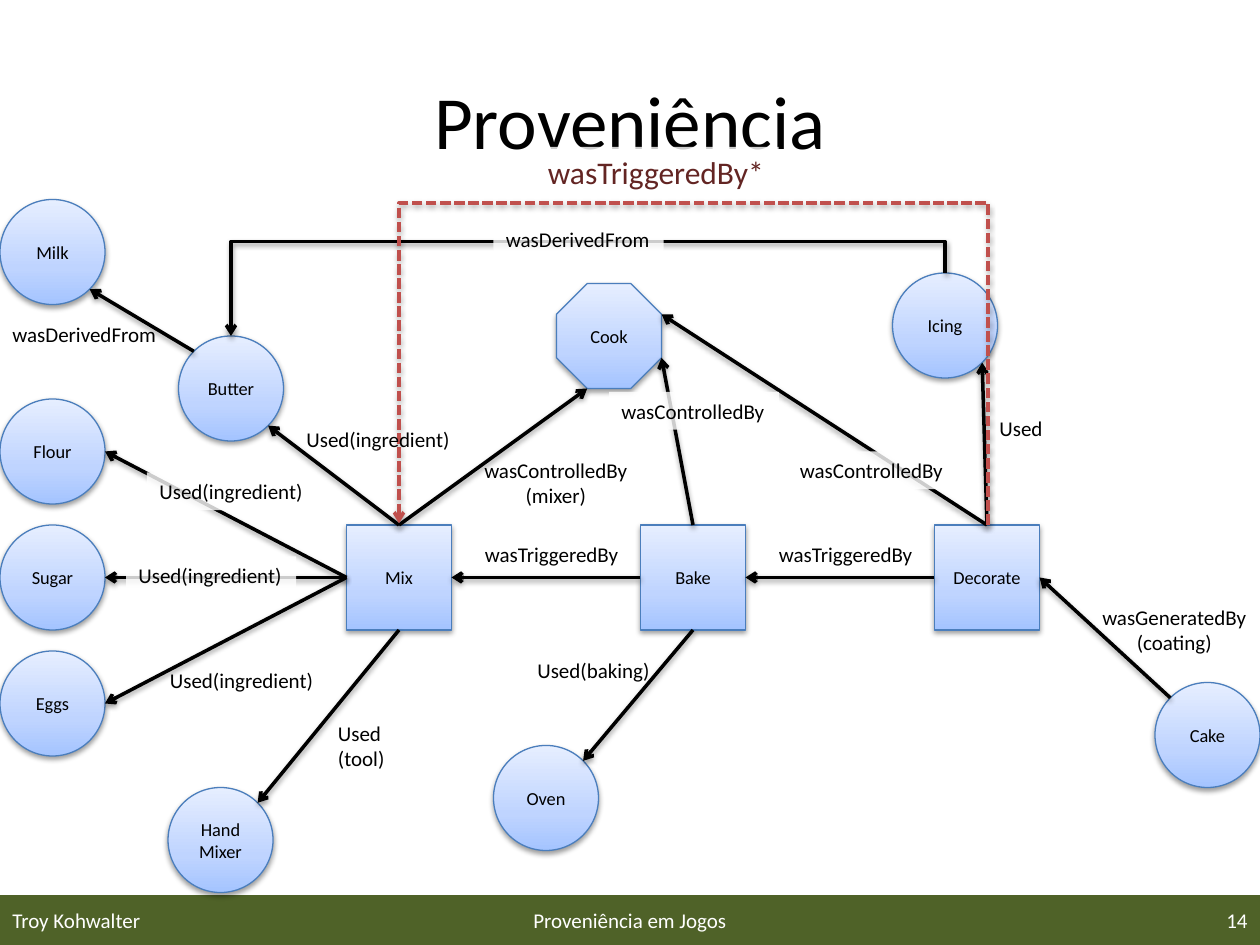
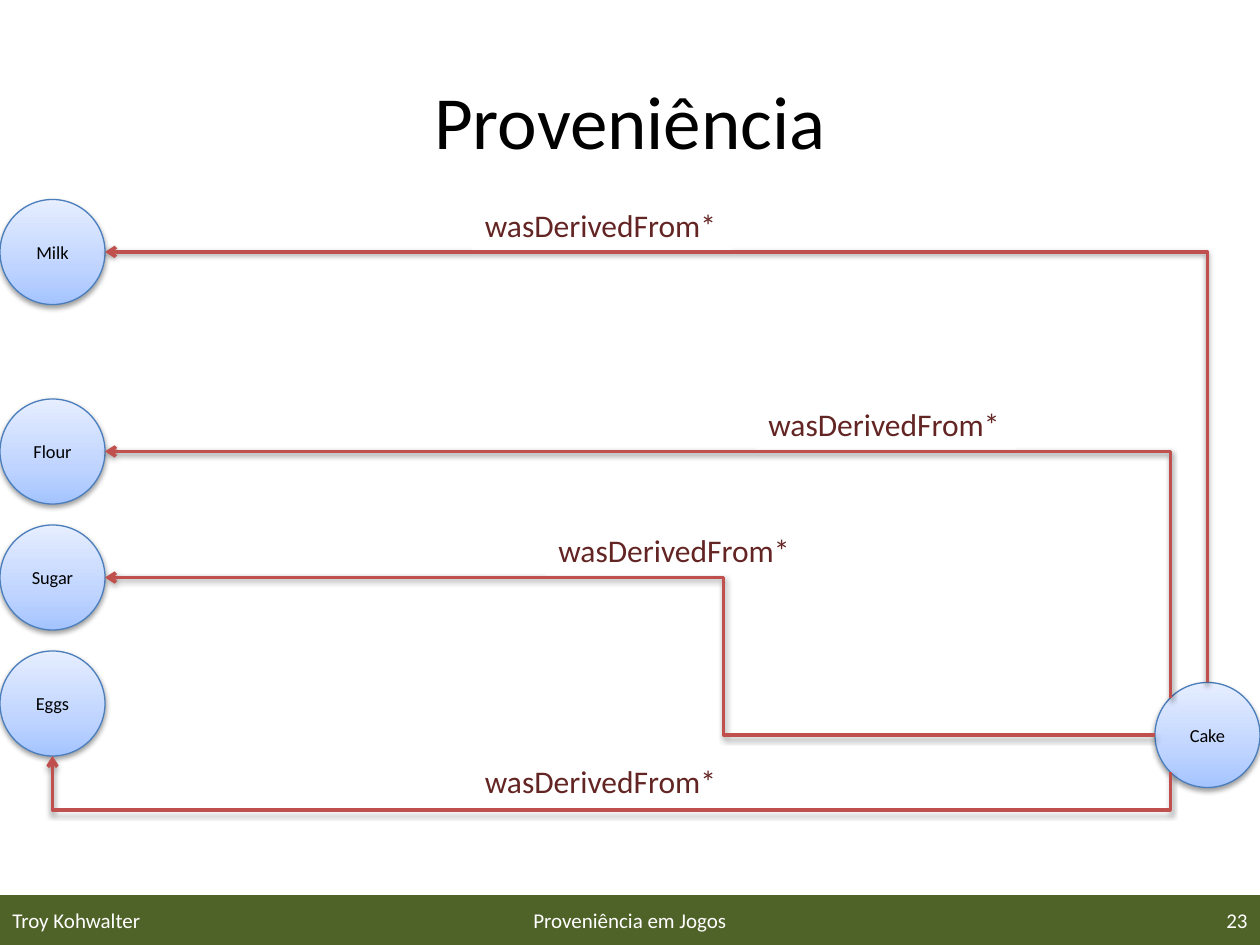
"""Build two provenance graph slides about baking a cake."""
from typing import NamedTuple

from lxml.etree import SubElement
from pptx import Presentation
from pptx.dml.color import RGBColor
from pptx.enum.dml import MSO_LINE
from pptx.enum.shapes import MSO_CONNECTOR as Wire, MSO_SHAPE as Preset
from pptx.enum.text import MSO_ANCHOR as Anchor, PP_ALIGN as Align
from pptx.oxml.ns import qn
from pptx.util import Pt

COLORS = {
    "band": "4F6228", "white": "FFFFFF", "black": "000000", "outline": "4B7EBC",
    "low": "A4C4FF", "middle": "BFD4FF", "high": "E6EEFF",
    "inferred": "C0504D", "inferred text": "632523",
}
FONT = "Calibri"
NODE_SIZE = 60
NODE_GRADIENT = [(0, "low"), (35, "middle"), (100, "high")]
SITES = {
    "top": (0.5, 0), "left": (0, 0.5), "bottom": (0.5, 1), "right": (1, 0.5),
    "upper left": (0.146, 0.146), "upper right": (0.854, 0.146),
    "lower left": (0.146, 0.854), "lower right": (0.854, 0.854),
    "right high": (1, 0.293), "right low": (1, 0.707), "bottom near left": (0.293, 1),
}
JOINTS = ["top", "left", "bottom", "right"]
Point = tuple[float, float]


class Node(NamedTuple):
    left: float
    top: float
    preset: Preset = Preset.OVAL


class Link(NamedTuple):
    source: str
    source_site: str
    target: str
    target_site: str


class Elbow(NamedTuple):
    start: Point
    end: Point
    bend: float | None = None
    vertical: bool = True
    color: str = "inferred"
    dashed: bool = False


class Label(NamedTuple):
    text: str
    left: float
    top: float
    width: float
    faded: bool = False
    align: Align = Align.LEFT
    size: float = 12
    color: str = "black"


NODES = {
    "Cake": Node(660, 390),
    "Milk": Node(0, 114),
    "Eggs": Node(0, 372),
    "Flour": Node(0, 228),
    "Sugar": Node(0, 300),
    "Butter": Node(102, 192),
    "Oven": Node(282, 426),
    "Icing": Node(510, 156),
    "Hand Mixer": Node(96, 450),
    "Cook": Node(318, 162, Preset.OCTAGON),
    "Mix": Node(198, 300, Preset.RECTANGLE),
    "Bake": Node(366, 300, Preset.RECTANGLE),
    "Decorate": Node(534, 300, Preset.RECTANGLE),
}


def site(name: str, side: str) -> Point:
    """Return the point of a node's named connection site."""
    node, (across, down) = NODES[name], SITES[side]
    return node.left + NODE_SIZE * across, node.top + NODE_SIZE * down


def inferred_label(text: str, left: float, top: float, width: float) -> Label:
    """Describe the large label of an inferred relation."""
    return Label(text, left, top, width, faded=True, size=18, color="inferred text")


RECIPE_LINKS = [
    Link("Cake", "upper left", "Decorate", "right"),
    Link("Bake", "left", "Mix", "right"),
    Link("Bake", "top", "Cook", "right low"),
    Link("Mix", "top", "Cook", "bottom near left"),
    Link("Bake", "bottom", "Oven", "upper right"),
    Link("Mix", "left", "Eggs", "right"),
    Link("Mix", "left", "Sugar", "right"),
    Link("Mix", "top", "Butter", "lower right"),
    Link("Mix", "left", "Flour", "right"),
    Link("Butter", "upper left", "Milk", "lower right"),
    Link("Decorate", "left", "Bake", "right"),
    Link("Decorate", "top", "Icing", "lower right"),
    Link("Mix", "bottom", "Hand Mixer", "upper right"),
    Link("Decorate", "top", "Cook", "right high"),
]
RECIPE_ELBOWS = [
    Elbow(site("Icing", "top"), site("Butter", "top"), bend=138, color="black"),
    Elbow((564.5, 300), (228, 299), bend=114.5, dashed=True),
]
RECIPE_LABELS = [
    Label("wasTriggeredBy", 270, 306, 91.4, True),
    Label("wasControlledBy", 348, 224, 97.2, True),
    Label("Used(ingredient)", 84, 270, 97.2, True),
    Label("Used(ingredient)", 72, 318, 97.2, True),
    Label("wasDerivedFrom", 282, 126, 97.2, True),
    Label("wasTriggeredBy", 438, 306, 91.4, True),
    Label("wasControlledBy", 450, 258, 97.2, True),
    inferred_label("wasTriggeredBy*", 306, 84, 139),
    Label("wasControlledBy\n(mixer)", 269, 258, 97.2, align=Align.CENTER),
    Label("Used(ingredient)", 168, 240, 97.2),
    Label("Used(baking)", 300, 372, 79.2),
    Label("wasDerivedFrom", 0, 180, 97.2),
    Label("Used(ingredient)", 90, 378, 97.2),
    Label("Used", 564, 234, 39.6),
    Label("Used\n(tool)", 186, 408, 41.8),
    Label("wasGeneratedBy\n(coating)", 622, 342, 98, align=Align.CENTER),
]
ORIGIN_NODES = ["Cake", "Milk", "Eggs", "Flour", "Sugar"]
ORIGIN_ELBOWS = [
    Elbow(site("Cake", "top"), site("Milk", "right")),
    Elbow(site("Cake", "upper left"), site("Flour", "right")),
    Elbow(site("Cake", "left"), site("Sugar", "right"), bend=413.4, vertical=False),
    Elbow(site("Cake", "lower left"), site("Eggs", "bottom"), bend=463),
]
ORIGIN_LABELS = [
    inferred_label("wasDerivedFrom*", left, top, 148.3)
    for left, top in [(270, 114), (432, 228), (312, 300), (270, 432)]
]


def rgb(name: str) -> RGBColor:
    """Look up a named colour."""
    return RGBColor.from_string(COLORS[name])


def add_color(parent, name: str, alpha: int | None = None) -> None:
    """Append a colour element, with opacity in percent."""
    color = SubElement(parent, qn("a:srgbClr"), val=COLORS[name])
    if alpha is not None:
        SubElement(color, qn("a:alpha"), val=str(alpha * 1000))


def add_shadow(effects) -> None:
    """Append the soft shadow below an object."""
    shadow = SubElement(effects, qn("a:outerShdw"), blurRad="40000", dist="20000",
                        dir="5400000", rotWithShape="0")
    add_color(shadow, "black", 38)


def write(box, text: str, *, size: float, color: str = "black", align=Align.LEFT,
          anchor=Anchor.TOP, wrap: bool = True, margins: Point = (7.2, 3.6)) -> None:
    """Fill a shape with formatted text, one paragraph a line."""
    frame = box.text_frame
    frame.word_wrap, frame.vertical_anchor = wrap, anchor
    frame.margin_left = frame.margin_right = Pt(margins[0])
    frame.margin_top = frame.margin_bottom = Pt(margins[1])
    for index, line in enumerate(text.split("\n")):
        para = frame.add_paragraph() if index else frame.paragraphs[0]
        para.alignment = align
        span = para.add_run()
        span.text = line
        span.font.name, span.font.size = FONT, Pt(size)
        span.font.color.rgb = rgb(color)


def add_box(page, left: float, top: float, width: float, height: float):
    """Add a text box placed in points."""
    return page.shapes.add_textbox(Pt(left), Pt(top), Pt(width), Pt(height))


def draw_frame(page, number: int) -> None:
    """Draw the title, the band and the footers."""
    band = page.shapes.add_shape(Preset.RECTANGLE, 0, Pt(511.6), Pt(720), Pt(28.4))
    band.shadow.inherit = False
    band.fill.solid()
    band.fill.fore_color.rgb = rgb("band")
    band.line.fill.background()
    footers = [("Troy Kohwalter", 0, 168, Align.LEFT),
               ("Proveniência em Jogos", 246, 228, Align.CENTER),
               (str(number), 552, 168, Align.RIGHT)]
    for text, left, width, align in footers:
        write(add_box(page, left, 511.2, width, 28.8), text, size=12, color="white",
              align=align, anchor=Anchor.MIDDLE)
    write(add_box(page, 36, 39.6, 648, 57), "Proveniência", size=42.9,
          align=Align.CENTER, anchor=Anchor.MIDDLE)


def draw_node(page, name: str):
    """Draw a node with its gradient and shadow."""
    node = NODES[name]
    shape = page.shapes.add_shape(node.preset, Pt(node.left), Pt(node.top),
                                  Pt(NODE_SIZE), Pt(NODE_SIZE))
    shape.fill.gradient()
    shape.fill.gradient_angle = 90
    properties = shape._element.spPr
    stops = properties.find(".//" + qn("a:gsLst"))
    for stop in list(stops):
        stops.remove(stop)
    for position, color in NODE_GRADIENT:
        add_color(SubElement(stops, qn("a:gs"), pos=str(position * 1000)), color)
    shape.line.color.rgb, shape.line.width = rgb("outline"), Pt(0.75)
    shape.shadow.inherit = False
    add_shadow(properties.find(qn("a:effectLst")))
    write(shape, name, size=10.5, align=Align.CENTER, anchor=Anchor.MIDDLE, margins=(0, 0))
    return shape


def style_arrow(wire, color: str, dashed: bool = False) -> None:
    """Give a connector its line, arrowhead and shadow."""
    wire.line.color.rgb, wire.line.width = rgb(color), Pt(2)
    if dashed:
        wire.line.dash_style = MSO_LINE.SQUARE_DOT
    properties = wire._element.spPr
    SubElement(properties.find(qn("a:ln")), qn("a:tailEnd"), type="arrow")
    add_shadow(SubElement(properties, qn("a:effectLst")))


def draw_link(page, link: Link, shapes: dict) -> None:
    """Draw a straight arrow and join it to rectangles."""
    start = site(link.source, link.source_site)
    end = site(link.target, link.target_site)
    wire = page.shapes.add_connector(Wire.STRAIGHT, *map(Pt, start + end))
    ends = [(link.source, link.source_site, wire.begin_connect),
            (link.target, link.target_site, wire.end_connect)]
    for name, side, join in ends:
        if NODES[name].preset == Preset.RECTANGLE and side in JOINTS:
            join(shapes[name], JOINTS.index(side))
    style_arrow(wire, "black")


def draw_elbow(page, elbow: Elbow) -> None:
    """Draw a bent arrow whose first leg is vertical or horizontal."""
    (x1, y1), (x2, y2) = elbow.start, elbow.end
    run, rise = x2 - x1, y2 - y1
    along, across = (-rise, run) if elbow.vertical else (-run, -rise)
    width, height = abs(along), abs(across)
    left, top = (x1 + x2 - width) / 2, (y1 + y2 - height) / 2
    wire = page.shapes.add_connector(Wire.ELBOW, Pt(left), Pt(top),
                                     Pt(left + width), Pt(top + height))
    properties = wire._element.spPr
    frame = properties.find(qn("a:xfrm"))
    frame.set("rot", str((270 if elbow.vertical else 180) * 60000))
    for flip, length in (("flipH", along), ("flipV", across)):
        if length < 0:
            frame.set(flip, "1")
    geometry = properties.find(qn("a:prstGeom"))
    if elbow.bend is None:
        geometry.set("prst", "bentConnector2")
    else:
        begin, span = (y1, rise) if elbow.vertical else (x1, run)
        ratio = round((elbow.bend - begin) / span * 100000)
        SubElement(geometry.find(qn("a:avLst")), qn("a:gd"), name="adj1", fmla=f"val {ratio}")
    style_arrow(wire, elbow.color, elbow.dashed)


def draw_label(page, label: Label) -> None:
    """Write a relation's name, on a faded ground if asked."""
    height = 7.2 + 1.2 * label.size * len(label.text.split("\n"))
    box = add_box(page, label.left, label.top, label.width, height)
    if label.faded:
        box.fill.solid()
        box.fill.fore_color.rgb = rgb("white")
        ground = box._element.spPr.find(".//" + qn("a:srgbClr"))
        SubElement(ground, qn("a:alpha"), val="80000")
    write(box, label.text, size=label.size, color=label.color, align=label.align, wrap=False)


def draw_page(deck, number: int, names: list[str], links: list[Link],
              elbows: list[Elbow], labels: list[Label]) -> None:
    """Draw a whole graph slide."""
    page = deck.slides.add_slide(deck.slide_layouts[6])
    draw_frame(page, number)
    shapes = {name: draw_node(page, name) for name in names}
    for link in links:
        draw_link(page, link, shapes)
    for elbow in elbows:
        draw_elbow(page, elbow)
    for label in labels:
        draw_label(page, label)


def main() -> None:
    """Build and save the deck."""
    deck = Presentation()
    deck.slide_width, deck.slide_height = Pt(720), Pt(540)
    draw_page(deck, 14, list(NODES), RECIPE_LINKS, RECIPE_ELBOWS, RECIPE_LABELS)
    draw_page(deck, 23, ORIGIN_NODES, [], ORIGIN_ELBOWS, ORIGIN_LABELS)
    deck.save("out.pptx")


if __name__ == "__main__":
    main()
